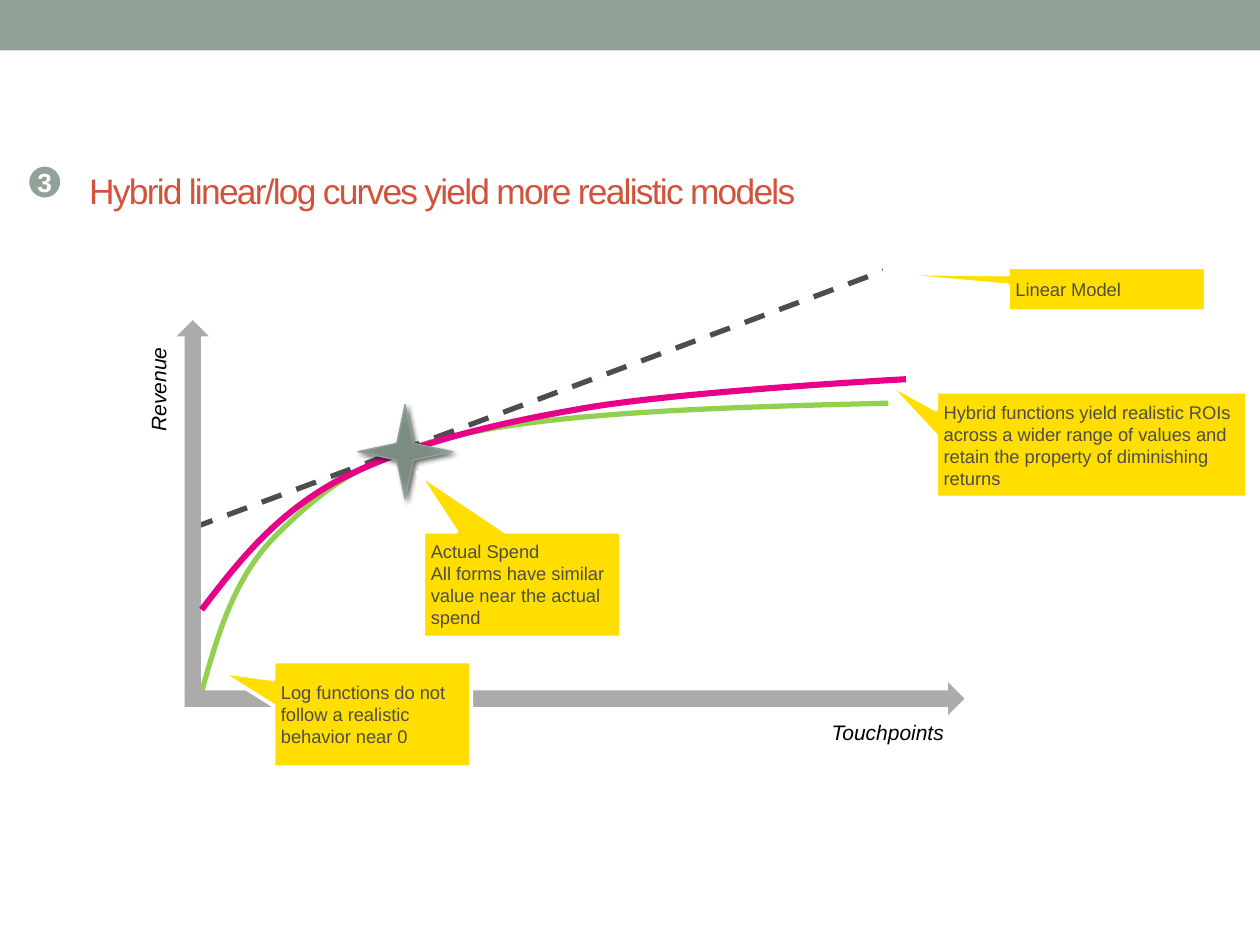
from dataclasses import dataclass

from lxml.etree import SubElement
from pptx import Presentation
from pptx.dml.color import RGBColor
from pptx.enum.dml import MSO_LINE
from pptx.enum.shapes import MSO_CONNECTOR, MSO_SHAPE
from pptx.enum.text import MSO_ANCHOR, MSO_AUTO_SIZE, PP_ALIGN
from pptx.oxml.ns import qn
from pptx.util import Inches, Pt


@dataclass(frozen=True)
class Theme:
    """Colours and type sizes of the slide."""
    font: str = "Arial"
    sage: str = "93A299"
    title: str = "D2533C"
    white: str = "FFFFFF"
    black: str = "000000"
    text: str = "4D4D4D"
    axis: str = "ABABAB"
    note: str = "FFDE00"
    log: str = "92D050"
    hybrid: str = "E80088"
    star: tuple = ((0, "7B8E82"), (34, "7B8D83"), (70, "8A9E92"), (100, "93A299"))
    title_size: float = 20.2
    badge_size: float = 15
    axis_size: float = 12
    note_size: float = 10.5


THEME = Theme()
WIDTH, HEIGHT = Inches(10), Inches(7.5)
COLUMNS, ROWS = 100, 75
NOTE_MARGINS = (0.6, 0.3)
LOG_CURVE = [(16, 54.9), (17.3, 50.3), (18.6, 45.7), (22.1, 42.3), (25.6, 38.9),
             (28.9, 36.1), (37, 34.4), (45, 32.7), (57.8, 32.3), (70.5, 32)]
HYBRID_CURVE = [(16, 48.4), (18.9, 44.6), (21.9, 40.8), (26.9, 38.1), (31.9, 35.5),
                (38.3, 33.8), (45.8, 32.5), (53.3, 31.1), (71.9, 30.1), (71.9, 30.1)]


def col(n):
    """Return the horizontal length of n grid columns."""
    return round(WIDTH * n / COLUMNS)


def row(n):
    """Return the vertical length of n grid rows."""
    return round(HEIGHT * n / ROWS)


def place(box):
    """Turn a grid box into left, top, width and height."""
    x, y, w, h = box
    return col(x), row(y), col(w), row(h)


def rgb(color):
    """Return the colour of a hex string."""
    return RGBColor.from_string(color)


def set_line(sp, color, width):
    """Give a shape or connector a solid line."""
    sp.line.color.rgb = rgb(color)
    sp.line.width = Pt(width)


def add_shape(slide, kind, box, fill, line=None, width=1):
    """Add a flat preset shape."""
    sp = slide.shapes.add_shape(kind, *place(box))
    sp.shadow.inherit = False
    sp.fill.solid()
    sp.fill.fore_color.rgb = rgb(fill)
    if line:
        set_line(sp, line, width)
    else:
        sp.line.fill.background()
    return sp


def write(sp, lines, size, color, margins=(1, 0.5), anchor=MSO_ANCHOR.MIDDLE,
          align=PP_ALIGN.LEFT, bold=False, italic=False):
    """Fill a shape with uniformly styled paragraphs."""
    tf = sp.text_frame
    tf.word_wrap = True
    tf.vertical_anchor = anchor
    tf.margin_left = tf.margin_right = col(margins[0])
    tf.margin_top = tf.margin_bottom = row(margins[1])
    tf.text = "\n".join(lines)
    for p in tf.paragraphs:
        p.alignment = align
        p.font.name = THEME.font
        p.font.size = Pt(size)
        p.font.color.rgb = rgb(color)
        p.font.bold = bold
        p.font.italic = italic
    return tf


def add_title(slide, box, text):
    """Add the tightly spaced slide title."""
    sp = slide.shapes.add_textbox(*place(box))
    tf = write(sp, [text], THEME.title_size, THEME.title)
    for r in tf.paragraphs[0].runs:
        r._r.get_or_add_rPr().set("spc", "-100")


def add_axis_label(slide, box, text, rotation=0):
    """Add an italic axis name."""
    sp = slide.shapes.add_textbox(*place(box))
    sp.rotation = rotation
    tf = write(sp, [text], THEME.axis_size, THEME.black, NOTE_MARGINS,
               MSO_ANCHOR.TOP, italic=True)
    tf.word_wrap = False
    tf.auto_size = MSO_AUTO_SIZE.SHAPE_TO_FIT_TEXT


def add_callout(slide, box, tip, *lines):
    """Add a yellow note whose tip is given in shares of its size."""
    sp = add_shape(slide, MSO_SHAPE.RECTANGULAR_CALLOUT, box, THEME.note, THEME.white, 2.25)
    sp.adjustments[0], sp.adjustments[1] = tip
    write(sp, lines, THEME.note_size, THEME.text, NOTE_MARGINS)


def add_curve(slide, points, color, width):
    """Draw a chain of cubic curves through anchor and control points."""
    start, *rest = [(col(x), row(y)) for x, y in points]
    builder = slide.shapes.build_freeform(*start)
    builder.add_line_segments(rest, close=False)
    sp = builder.convert_to_shape()
    sp.shadow.inherit = False
    sp.fill.background()
    set_line(sp, color, width)
    outline = next(sp._element.iter(qn("a:path")))
    segments = outline.findall(qn("a:lnTo"))
    for i in range(0, len(segments), 3):
        curve = SubElement(outline, qn("a:cubicBezTo"))
        for segment in segments[i:i + 3]:
            curve.append(segment[0])
            outline.remove(segment)


def add_dashed_line(slide, start, end):
    """Draw the linear model."""
    line = slide.shapes.add_connector(MSO_CONNECTOR.STRAIGHT, col(start[0]), row(start[1]),
                                      col(end[0]), row(end[1]))
    set_line(line, THEME.text, 3)
    line.line.dash_style = MSO_LINE.DASH
    SubElement(line._element.spPr, qn("a:effectLst"))


def add_star(slide, box):
    """Add the shaded star that marks the actual spend."""
    sp = add_shape(slide, MSO_SHAPE.STAR_4_POINT, box, THEME.sage, THEME.sage, 0.75)
    spPr = sp._element.spPr
    solid = spPr.find(qn("a:solidFill"))
    grad = SubElement(spPr, qn("a:gradFill"), rotWithShape="1")
    stops = SubElement(grad, qn("a:gsLst"))
    for share, color in THEME.star:
        stop = SubElement(stops, qn("a:gs"), pos=str(share * 1000))
        SubElement(stop, qn("a:srgbClr"), val=color)
    radial = SubElement(grad, qn("a:path"), path="circle")
    SubElement(radial, qn("a:fillToRect"), dict.fromkeys("ltrb", "100000"))
    spPr.replace(solid, grad)
    shadow = SubElement(spPr.find(qn("a:effectLst")), qn("a:outerShdw"), blurRad=str(Pt(3)),
                        dist=str(Pt(2)), dir="2700000", rotWithShape="0")
    shade = SubElement(shadow, qn("a:srgbClr"), val=THEME.black)
    SubElement(shade, qn("a:alpha"), val="60000")


def main():
    """Build the slide and save it."""
    prs = Presentation()
    prs.slide_width, prs.slide_height = WIDTH, HEIGHT
    slide = prs.slides.add_slide(prs.slide_layouts[6])
    add_shape(slide, MSO_SHAPE.RECTANGLE, (0, 0, COLUMNS, 4), THEME.sage)
    add_title(slide, (6.1, 10.3, 92.9, 9.6),
              "Hybrid linear/log curves yield more realistic models")
    add_shape(slide, MSO_SHAPE.RECTANGLE, (5.9, 22, 75, 37.9), THEME.white)
    add_curve(slide, LOG_CURVE, THEME.log, 3)
    add_dashed_line(slide, (15.3, 41.9), (70.1, 21.5))
    add_shape(slide, MSO_SHAPE.UP_ARROW, (14, 25.4, 2.6, 29.5), THEME.axis)
    axis = add_shape(slide, MSO_SHAPE.UP_ARROW, (44.3, 24.5, 2.6, 61.9), THEME.axis)
    axis.rotation = 90
    add_callout(slide, (74.3, 31.1, 24.7, 8.4), (-0.66, -0.59),
                "Hybrid functions yield realistic ROIs across a wider range of values "
                "and retain the property of diminishing returns")
    add_axis_label(slide, (8.6, 29.5, 8, 2.7), "Revenue", 270)
    add_axis_label(slide, (65.4, 56.8, 10.4, 2.7), "Touchpoints")
    add_curve(slide, HYBRID_CURVE, THEME.hybrid, 3.5)
    badge = add_shape(slide, MSO_SHAPE.OVAL, (2, 12.9, 3.1, 3.1), THEME.sage, THEME.white, 4.5)
    write(badge, ["3"], THEME.badge_size, THEME.white, (0, 0), align=PP_ALIGN.CENTER, bold=True)
    add_callout(slide, (21.7, 52.5, 15.7, 8.4), (-0.77, -0.4),
                "Log functions do not follow a realistic behavior near 0")
    add_callout(slide, (80, 21.2, 15.7, 3.5), (-1.21, -0.37), "Linear Model")
    add_star(slide, (28.4, 32.1, 7.5, 7.5))
    add_callout(slide, (33.6, 42.2, 15.7, 8.4), (-0.53, -1.06), "Actual Spend",
                "All forms have similar value near the actual spend")
    prs.save("out.pptx")


if __name__ == "__main__":
    main()
